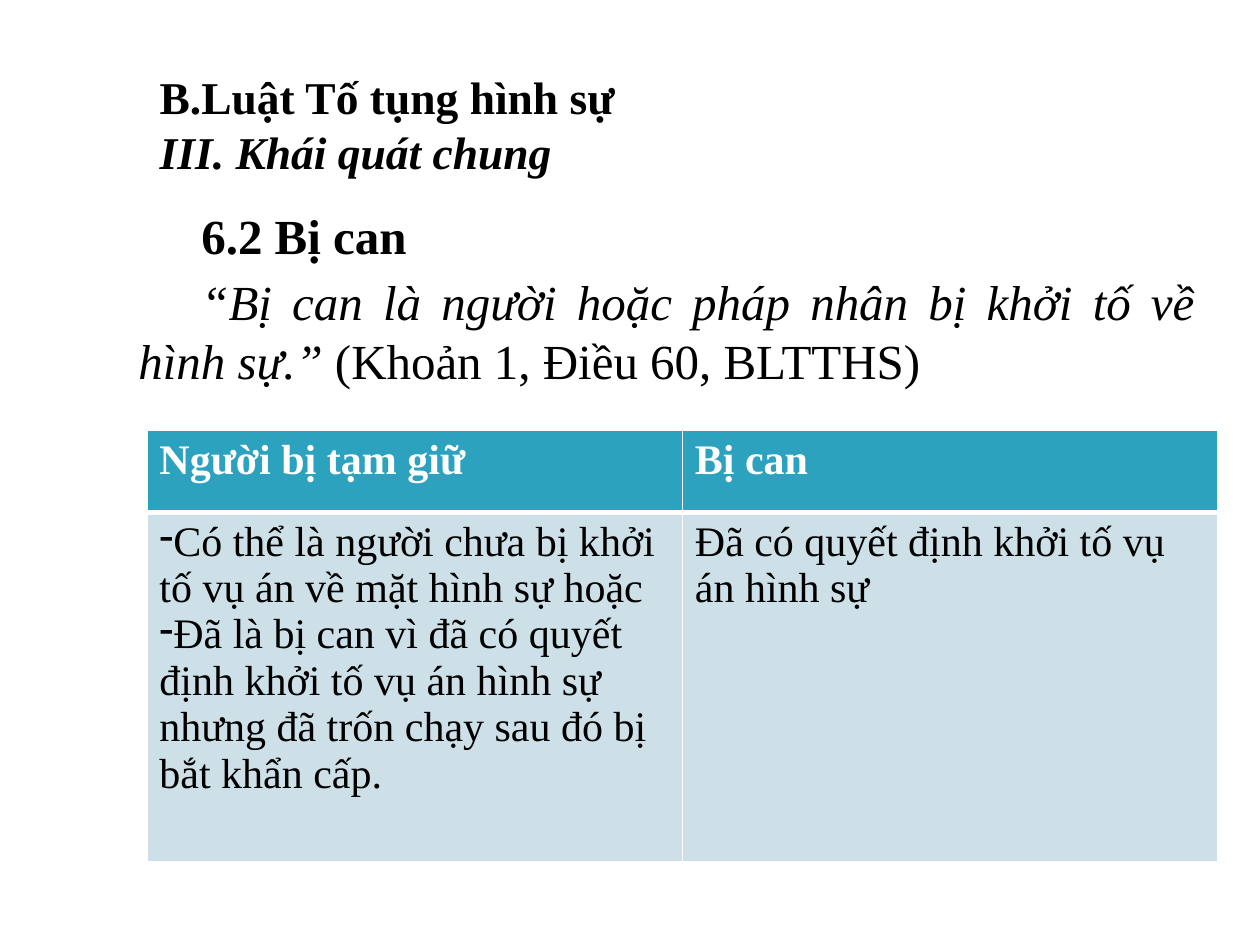
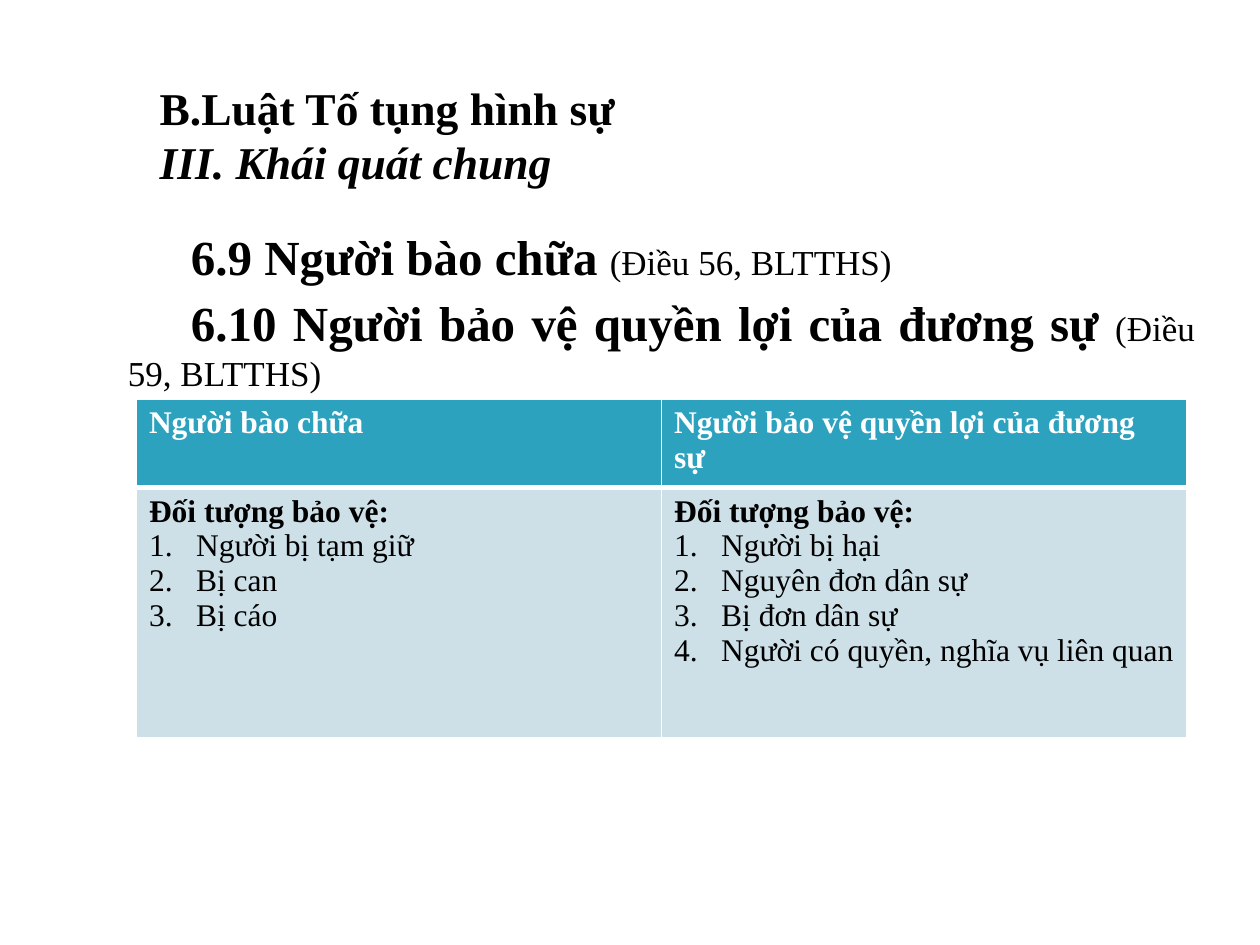
import dataclasses

import lxml.etree
import pptx
import pptx.dml.color
import pptx.enum.text
import pptx.oxml.ns
import pptx.util

Cm = pptx.util.Cm
Pt = pptx.util.Pt
qn = pptx.oxml.ns.qn


@dataclasses.dataclass(frozen=True)
class Theme:
    """Colours, type sizes and line widths shared by the slides."""
    font: str = "Times New Roman"
    ink: str = "000000"
    white: str = "FFFFFF"
    header_fill: str = "2DA2BF"
    body_fill: str = "CDE0E8"
    title_size: int = 26
    heading_size: int = 28
    citation_size: int = 20
    space_before: int = 4
    thin_line: int = 1
    thick_line: int = 3
    indent: float = 1.27
    number_indent: float = 0.95


@dataclasses.dataclass(frozen=True)
class Box:
    """A region in centimetres."""
    left: float
    top: float
    width: float
    height: float

    def lengths(self):
        """Return the four lengths in the order python-pptx takes them."""
        return [Cm(value) for value in dataclasses.astuple(self)]


@dataclasses.dataclass(frozen=True)
class Run:
    """A stretch of text; without a size it takes the size of its region."""
    text: str
    bold: bool = False
    italic: bool = False
    size: int = 0


@dataclasses.dataclass(frozen=True)
class Line:
    """A table paragraph with an optional dash or number."""
    run: Run
    marker: str = ""


THEME = Theme()
TITLE = [
    Run("B.Luật Tố tụng hình sự", bold=True),
    Run("III. Khái quát chung", bold=True, italic=True),
]


def add_run(paragraph, content, size, color=THEME.ink):
    """Add one formatted run to a paragraph."""
    run = paragraph.add_run()
    run.text = content.text
    run.font.name = THEME.font
    run.font.size = Pt(content.size or size)
    run.font.bold = content.bold
    run.font.italic = content.italic
    run.font.color.rgb = pptx.dml.color.RGBColor.from_string(color)


def set_indent(paragraph, margin, first_line):
    """Set the left margin and first-line indent and return the properties."""
    properties = paragraph._p.get_or_add_pPr()
    properties.set("marL", str(Cm(margin)))
    properties.set("indent", str(Cm(first_line)))
    return properties


def add_paragraphs(text_frame, items):
    """Yield a paragraph with each item, beginning with the existing one."""
    for index, item in enumerate(items):
        yield (text_frame.add_paragraph() if index else text_frame.paragraphs[0]), item


def add_text(slide, box, paragraphs, size, margin=0, first_line=0, space_before=0):
    """Add a justified text region made of lists of runs."""
    text_frame = slide.shapes.add_textbox(*box.lengths()).text_frame
    text_frame.word_wrap = True
    for paragraph, runs in add_paragraphs(text_frame, paragraphs):
        paragraph.alignment = pptx.enum.text.PP_ALIGN.JUSTIFY
        paragraph.space_before = Pt(space_before)
        set_indent(paragraph, margin, first_line)
        for run in runs:
            add_run(paragraph, run, size)


def add_title(slide, box):
    """Add the chapter title shared by the slides."""
    add_text(slide, box, [[run] for run in TITLE], THEME.title_size, margin=THEME.indent)


def add_body(slide, box, paragraphs):
    """Add the definitions with an indented first line."""
    add_text(slide, box, paragraphs, THEME.heading_size,
             first_line=THEME.indent, space_before=THEME.space_before)


def set_marker(paragraph, marker):
    """Give a paragraph its dash or automatic number."""
    if marker == "number":
        properties = set_indent(paragraph, THEME.number_indent, -THEME.number_indent)
        lxml.etree.SubElement(properties, qn("a:buAutoNum"), type="arabicPeriod")
    elif marker:
        properties = set_indent(paragraph, 0, 0)
        lxml.etree.SubElement(properties, qn("a:buChar"), char=marker)


def set_borders(cell, widths):
    """Draw white borders on the left, right, top and bottom of a cell."""
    properties = cell._tc.get_or_add_tcPr()
    for index, (side, width) in enumerate(zip("LRTB", widths)):
        border = lxml.etree.Element(qn(f"a:ln{side}"), w=str(Pt(width)))
        fill = lxml.etree.SubElement(border, qn("a:solidFill"))
        lxml.etree.SubElement(fill, qn("a:srgbClr"), val=THEME.white)
        properties.insert(index, border)


def fill_cell(cell, lines, size, is_header):
    """Write and style one header or body cell."""
    thin, thick = THEME.thin_line, THEME.thick_line
    fill = THEME.header_fill if is_header else THEME.body_fill
    color = THEME.white if is_header else THEME.ink
    cell.fill.solid()
    cell.fill.fore_color.rgb = pptx.dml.color.RGBColor.from_string(fill)
    set_borders(cell, (thin, thin, thin, thick) if is_header else (thin, thin, thick, thin))
    for paragraph, line in add_paragraphs(cell.text_frame, lines):
        set_marker(paragraph, line.marker)
        add_run(paragraph, line.run, size, color)


def add_comparison(slide, box, header_height, size, headers, columns):
    """Add a table that compares the roles in equal columns."""
    shape = slide.shapes.add_table(2, len(headers), *box.lengths())
    table = shape.table
    table.rows[0].height = Cm(header_height)
    table.rows[1].height = Cm(box.height - header_height)
    for index, (header, lines) in enumerate(zip(headers, columns)):
        table.columns[index].width = Cm(box.width / len(headers))
        fill_cell(table.cell(0, index), [Line(Run(header, bold=True))], size, True)
        fill_cell(table.cell(1, index), lines, size, False)


def protected_parties(names):
    """Return the numbered list of protected parties under its heading."""
    heading = Line(Run("Đối tượng bảo vệ:", bold=True))
    return [heading] + [Line(Run(name), "number") for name in names]


def build_accused(slide):
    """Build the slide on the accused."""
    add_body(slide, Box(2.54, 4.02, 21.8, 4.23), [
        [Run("6.2 Bị can", bold=True)],
        [Run("“Bị can là người hoặc pháp nhân bị khởi tố về hình sự.” ", italic=True),
         Run("(Khoản 1, Điều 60, BLTTHS)")],
    ])
    add_comparison(
        slide, Box(2.96, 8.68, 21.59, 8.69), 1.65, 24,
        ["Người bị tạm giữ", "Bị can"],
        [[Line(Run("Có thể là người chưa bị khởi tố vụ án về mặt hình sự hoặc"), "-"),
          Line(Run("Đã là bị can vì đã có quyết định khởi tố vụ án hình sự "
                   "nhưng đã trốn chạy sau đó bị bắt khẩn cấp."), "-")],
         [Line(Run("Đã có quyết định khởi tố vụ án hình sự"))]])
    add_title(slide, Box(1.7, 1.27, 18.2, 3.5))


def build_defenders(slide):
    """Build the slide on defenders and protectors of interests."""
    citation = THEME.citation_size
    add_body(slide, Box(2.33, 4.45, 22.01, 3.6), [
        [Run("6.9 Người bào chữa ", bold=True),
         Run("(Điều 56, BLTTHS)", size=citation)],
        [Run("6.10 Người bảo vệ quyền lợi của đương sự ", bold=True),
         Run("(Điều 59, BLTTHS)", size=citation)],
    ])
    add_comparison(
        slide, Box(2.75, 8.05, 21.17, 6.75), 1.7, 18,
        ["Người bào chữa", "Người bảo vệ quyền lợi của đương sự"],
        [protected_parties(["Người bị tạm giữ", "Bị can", "Bị cáo"]),
         protected_parties(["Người bị hại", "Nguyên đơn dân sự", "Bị đơn dân sự",
                            "Người có quyền, nghĩa vụ liên quan"])])
    add_title(slide, Box(1.7, 1.48, 18.2, 3.5))


def main():
    """Build and save the presentation."""
    presentation = pptx.Presentation()
    presentation.slide_width = Cm(25.4)
    presentation.slide_height = Cm(19.05)
    for build in (build_accused, build_defenders):
        build(presentation.slides.add_slide(presentation.slide_layouts[6]))
    presentation.save("out.pptx")


if __name__ == "__main__":
    main()
